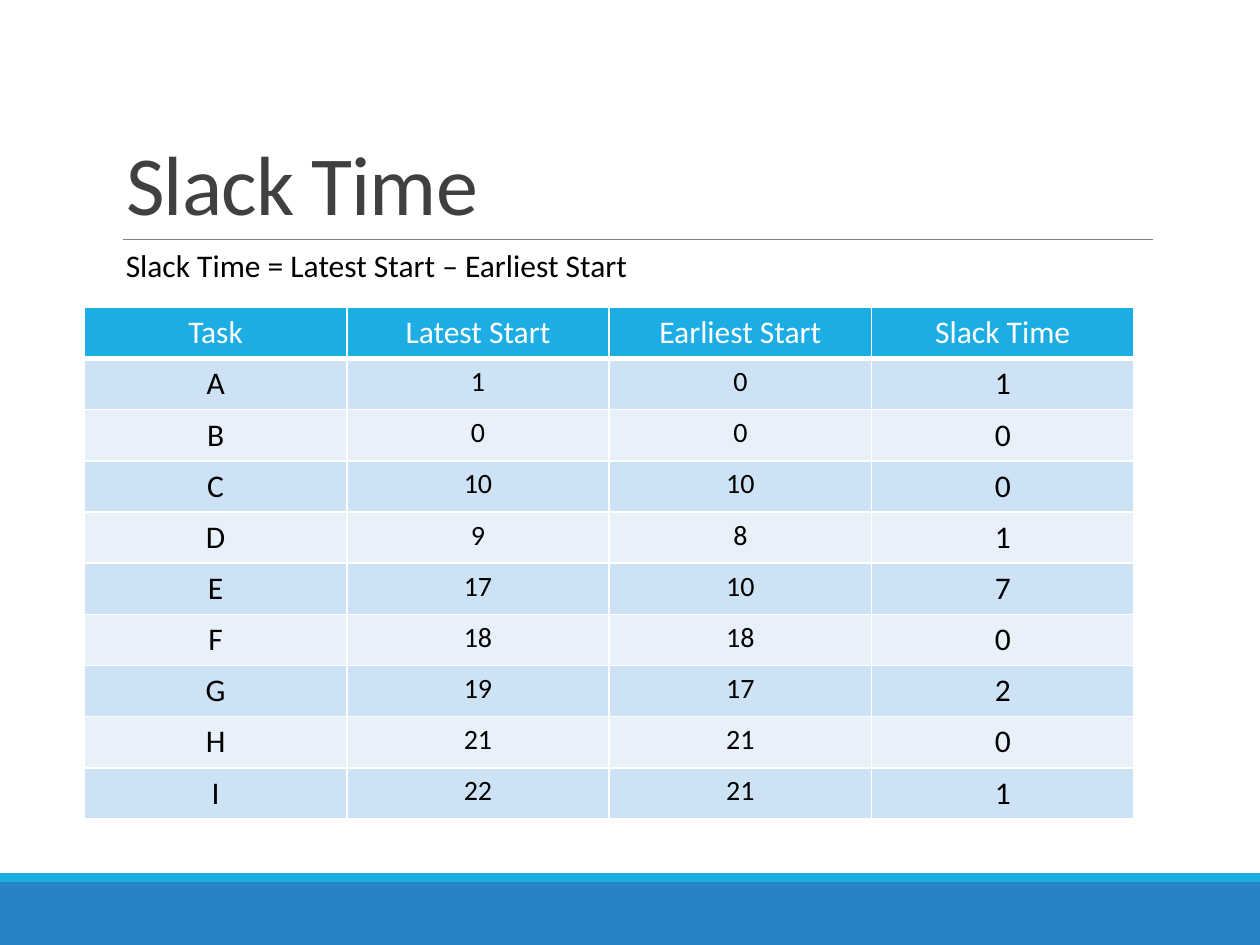
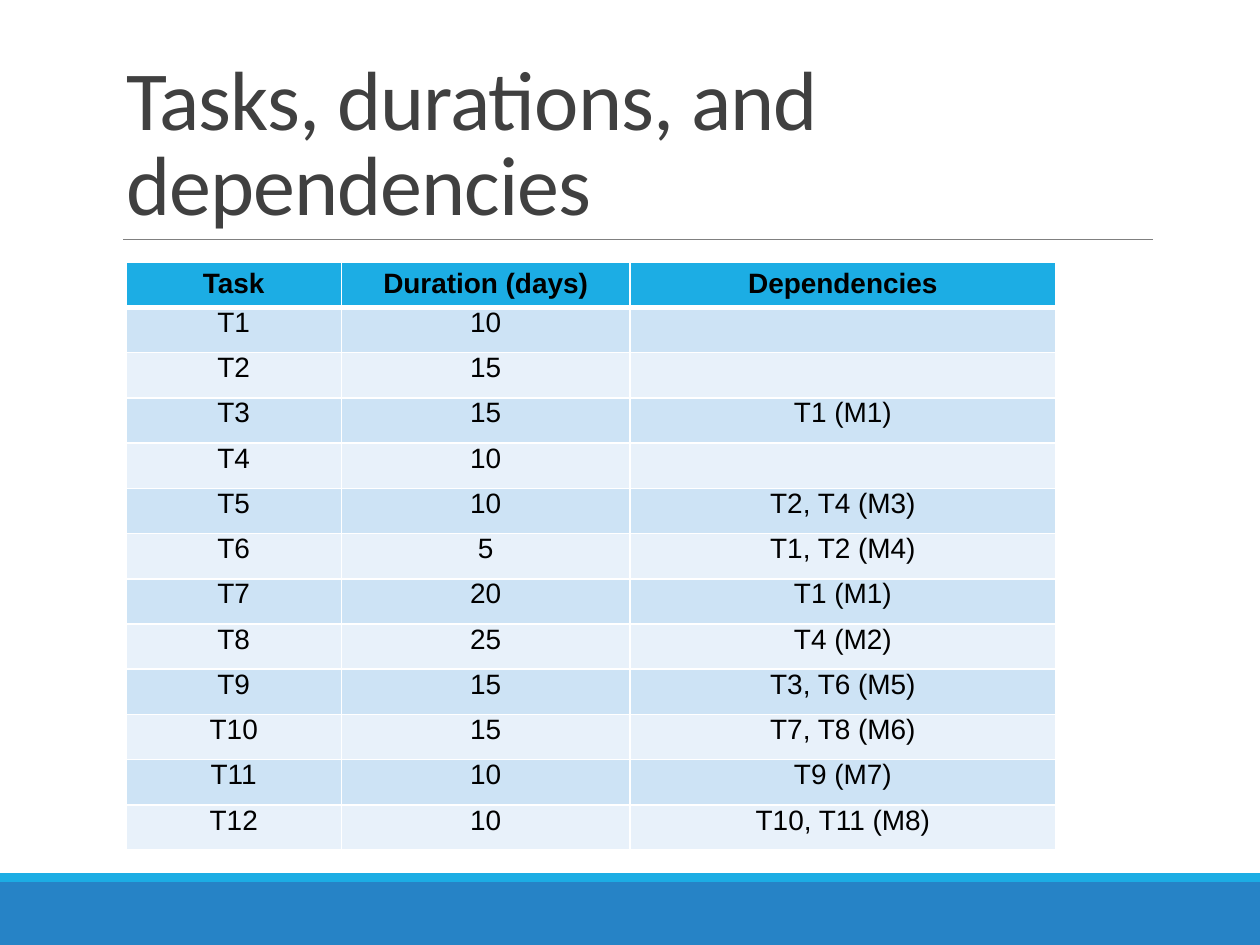
from lxml.etree import SubElement
from pptx import Presentation
from pptx.dml.color import RGBColor
from pptx.enum.shapes import MSO_CONNECTOR as Connector, MSO_SHAPE as Shape
from pptx.enum.text import MSO_ANCHOR as Anchor, MSO_AUTO_SIZE as AutoSize, PP_ALIGN as Align
from pptx.oxml.ns import qn
from pptx.util import Inches, Pt

# Shared look
COLORS = {
    "band": "2683C6", "accent": "1CADE4", "rule": "808080", "title": "404040",
    "text": "000000", "white": "FFFFFF", "odd_row": "CDE3F5", "even_row": "E8F1FA",
}
WIDTH, HEIGHT = 10, 7.5
LEFT, RIGHT = 0.9, 9.15
RULE_Y = 1.9
TITLE_ONLY = 5

# Content: task, latest start, earliest start
STARTS = [
    ("A", 1, 0), ("B", 0, 0), ("C", 10, 10), ("D", 9, 8), ("E", 17, 10),
    ("F", 18, 18), ("G", 19, 17), ("H", 21, 21), ("I", 22, 21),
]
# Content: duration in days, dependencies
TASKS = [
    (10, ""), (15, ""), (15, "T1 (M1)"), (10, ""), (10, "T2, T4 (M3)"),
    (5, "T1, T2 (M4)"), (20, "T1 (M1)"), (25, "T4 (M2)"), (15, "T3, T6 (M5)"),
    (15, "T7, T8 (M6)"), (10, "T9 (M7)"), (10, "T10, T11 (M8)"),
]


def rgb(name):
    return RGBColor.from_string(COLORS[name])


def write(frame, text, size=18, font="Calibri", color="text", bold=False,
          align=Align.LEFT, line_spacing=None, tracking=None):
    """Put one formatted paragraph into a text frame."""
    para = frame.paragraphs[0]
    para.alignment = align
    para.line_spacing = line_spacing
    span = para.add_run()
    span.text = str(text)
    span.font.size = Pt(size)
    span.font.name = font
    span.font.bold = bold
    span.font.color.rgb = rgb(color)
    if tracking is not None:
        span.font._element.set("spc", str(int(tracking * 100)))


def add_band(page, top, height, color):
    band = page.shapes.add_shape(
        Shape.RECTANGLE, 0, Inches(top), Inches(WIDTH), Inches(height))
    band.shadow.inherit = False
    band.fill.solid()
    band.fill.fore_color.rgb = rgb(color)
    band.line.fill.background()


def add_rule(page):
    rule = page.shapes.add_connector(
        Connector.STRAIGHT, Inches(0.98), Inches(RULE_Y), Inches(RIGHT), Inches(RULE_Y))
    rule.line.color.rgb = rgb("rule")
    rule.line.width = Pt(0.5)
    SubElement(rule._element.spPr, qn("a:effectLst"))


def add_page(deck, heading):
    """Add a slide with the footer bands, the rule and its title."""
    page = deck.slides.add_slide(deck.slide_layouts[TITLE_ONLY])
    add_band(page, 7, 0.5, "band")
    add_band(page, 6.93, 0.07, "accent")
    add_rule(page)
    title = page.shapes.title
    title.left, title.top = Inches(LEFT), Inches(0.31)
    title.width, title.height = Inches(RIGHT - LEFT), Inches(RULE_Y - 0.31)
    frame = title.text_frame
    frame.word_wrap = True
    frame.auto_size = AutoSize.NONE
    frame.vertical_anchor = Anchor.BOTTOM
    write(frame, heading, size=48, color="title", line_spacing=0.85, tracking=-0.5)
    return page


def add_note(page, text, left, top, width, height):
    box = page.shapes.add_textbox(Inches(left), Inches(top), Inches(width), Inches(height))
    box.text_frame.word_wrap = True
    box.text_frame.auto_size = AutoSize.SHAPE_TO_FIT_TEXT
    write(box.text_frame, text)


def set_borders(cell, widths):
    """Draw white cell borders; widths maps a side (L, R, T, B) to points."""
    props = cell._tc.get_or_add_tcPr()
    for side, width in widths.items():
        line = SubElement(props, qn(f"a:ln{side}"), w=str(Pt(width)))
        fill = SubElement(line, qn("a:solidFill"))
        SubElement(fill, qn("a:srgbClr"), val=COLORS["white"])


def add_grid(page, rows, left, top, height, col_widths, cell_format):
    """Add a banded table; cell_format(row, col) gives text format and margins."""
    grid = page.shapes.add_table(
        len(rows), len(col_widths), Inches(left), Inches(top),
        Inches(sum(col_widths)), Inches(height)).table
    for column, width in zip(grid.columns, col_widths):
        column.width = Inches(width)
    for r, values in enumerate(rows):
        grid.rows[r].height = Inches(height / len(rows))
        fill = "accent" if r == 0 else "odd_row" if r % 2 else "even_row"
        for c, value in enumerate(values):
            cell = grid.cell(r, c)
            set_borders(cell, {"L": 1, "R": 1, "T": 3 if r == 1 else 1, "B": 1 if r else 3})
            cell.fill.solid()
            cell.fill.fore_color.rgb = rgb(fill)
            text_format, (side, upper, lower) = cell_format(r, c)
            cell.margin_left = cell.margin_right = Inches(side)
            cell.margin_top, cell.margin_bottom = Inches(upper), Inches(lower)
            write(cell.text_frame, value, align=Align.CENTER, **text_format)


def slack_format(row, col):
    size = 16 if row and col in (1, 2) else 18
    return {"size": size, "color": "text" if row else "white"}, (0.1, 0.05, 0.05)


def task_format(row, col):
    header = row == 0
    return ({"size": 16, "font": "Arial", "bold": header},
            (0.06, 0.05 if header else 0, 0.05))


def main():
    deck = Presentation()
    deck.slide_width, deck.slide_height = Inches(WIDTH), Inches(HEIGHT)

    # Slack time
    page = add_page(deck, "Slack Time")
    rows = [("Task", "Latest Start", "Earliest Start", "Slack Time")]
    rows += [(task, latest, earliest, latest - earliest) for task, latest, earliest in STARTS]
    add_grid(page, rows, 0.67, 2.44, 4.06, [8.33 / 4] * 4, slack_format)
    add_note(page, "Slack Time = Latest Start – Earliest Start", LEFT, RULE_Y, 6.17, 0.4)

    # Tasks and dependencies
    page = add_page(deck, "Tasks, durations, and dependencies")
    rows = [("Task", "Duration (days)", "Dependencies")]
    rows += [(f"T{number}", *task) for number, task in enumerate(TASKS, 1)]
    add_grid(page, rows, 1, 2.08, 4.67, [1.71, 2.29, 3.38], task_format)

    deck.save("out.pptx")


if __name__ == "__main__":
    main()
